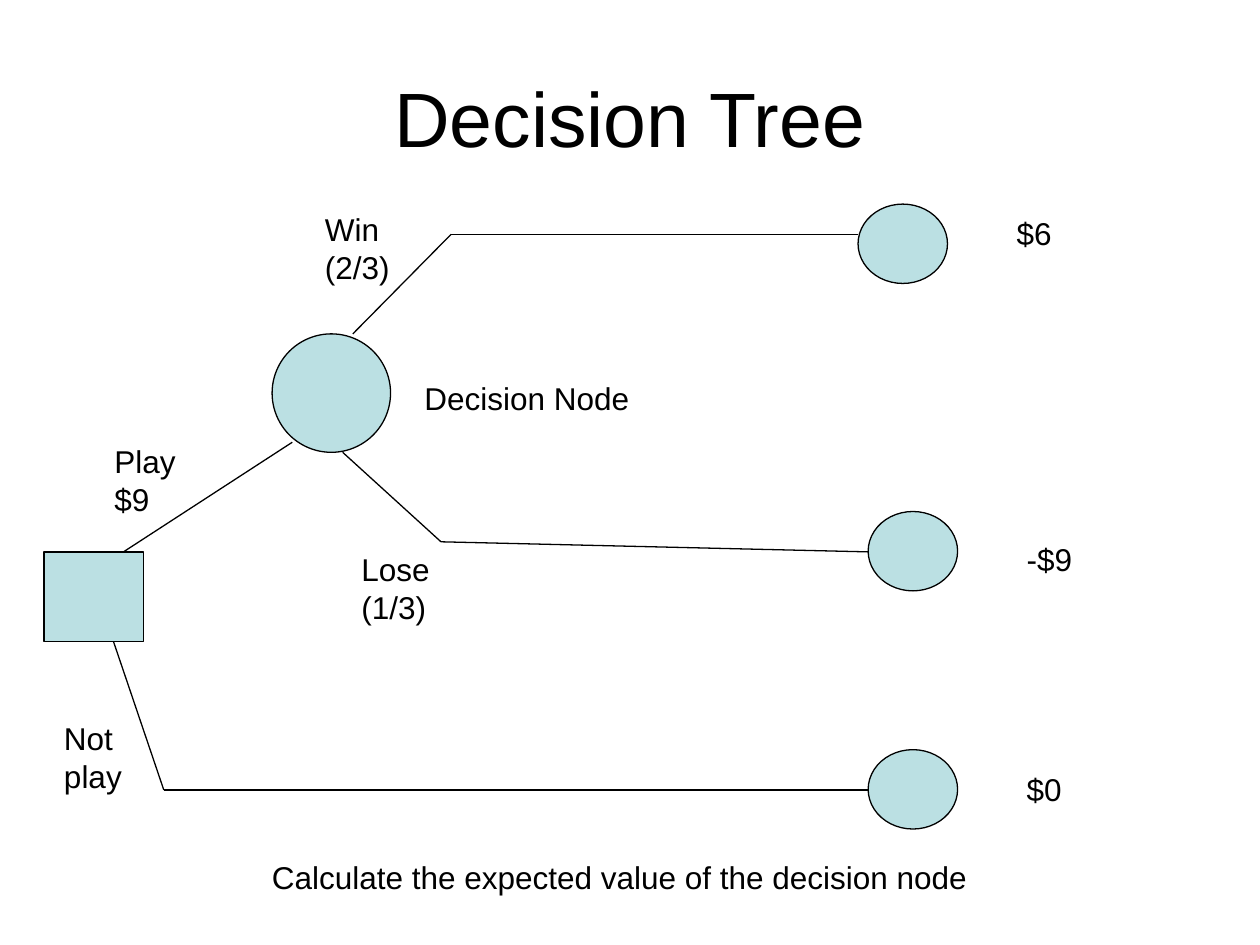
from itertools import pairwise

from pptx import Presentation
from pptx.dml.color import RGBColor
from pptx.enum.shapes import MSO_CONNECTOR as Connector, MSO_SHAPE as Shape
from pptx.enum.text import MSO_ANCHOR as Anchor, MSO_AUTO_SIZE as AutoSize, PP_ALIGN as Align
from pptx.oxml.ns import qn
from pptx.util import Inches, Pt
from lxml.etree import SubElement

PX = Inches(0.01)
COLORS = {"node": "BBE0E3", "ink": "000000"}
FONT = "Arial"
LINE_HEIGHT = 40

OUTCOME_SIZE = (71, 63)
PAYOFF_GAP = 116
# left and top of the outcome node, payoff, top of the payoff
OUTCOMES = [
    (646, 0, "$6", 3),
    (654, 244, "-$9", 262),
    (654, 433, "$0", 444),
]
BRANCHES = [
    [(55, 347), (95, 465), (654, 465)],
    [(63, 276), (197, 189)],
    [(245, 103), (323, 24), (646, 24)],
    [(237, 197), (315, 268), (654, 276)],
]
# text, left, top, width, height
BRANCH_LABELS = [
    ("Play $9", 46, 184, 103, LINE_HEIGHT),
    ("Not\nplay", 6, 404, 66, 70),
    ("Win (2/3)", 213, 0, 121, LINE_HEIGHT),
    ("Lose (1/3)", 242, 270, 132, LINE_HEIGHT),
]


def rgb(name):
    return RGBColor.from_string(COLORS[name])


def emu(*lengths):
    return [length * PX for length in lengths]


def set_font(paragraph, size):
    paragraph.font.name = FONT
    paragraph.font.size = Pt(size)
    paragraph.font.color.rgb = rgb("ink")


def add_title(slide, text, box):
    title = slide.shapes.title
    title.left, title.top, title.width, title.height = emu(*box)
    title.text_frame.text = text
    title.text_frame.vertical_anchor = Anchor.MIDDLE
    paragraph = title.text_frame.paragraphs[0]
    paragraph.alignment = Align.CENTER
    set_font(paragraph, 44)


def add_label(slide, text, left, top, width, height=LINE_HEIGHT, wrap=False):
    label = slide.shapes.add_textbox(*emu(left, top, width, height))
    frame = label.text_frame
    frame.text = text
    frame.word_wrap = wrap
    frame.auto_size = AutoSize.SHAPE_TO_FIT_TEXT
    for paragraph in frame.paragraphs:
        set_font(paragraph, 18)


def add_node(slide, outline, left, top, width, height):
    node = slide.shapes.add_shape(outline, *emu(left, top, width, height))
    node.shadow.inherit = False
    node.fill.solid()
    node.fill.fore_color.rgb = rgb("node")
    node.line.color.rgb = rgb("ink")
    node.line.width = Pt(0.75)


def add_branch(slide, points):
    """Join successive points with straight lines."""
    for start, end in pairwise(points):
        branch = slide.shapes.add_connector(Connector.STRAIGHT, *emu(*start, *end))
        branch.line.color.rgb = rgb("ink")
        branch.line.width = Pt(0.75)
        SubElement(branch._element.spPr, qn("a:effectLst"))


def add_tree(slide, left, top):
    add_node(slide, Shape.RECTANGLE, left, top + 276, 79, 71)
    add_node(slide, Shape.OVAL, left + 181, top + 103, 94, 94)
    for x, y, payoff, payoff_y in OUTCOMES:
        add_node(slide, Shape.OVAL, left + x, top + y, *OUTCOME_SIZE)
        payoff_width = 56 if payoff.startswith("-") else 48
        add_label(slide, payoff, left + x + PAYOFF_GAP, top + payoff_y, payoff_width)
    for points in BRANCHES:
        add_branch(slide, [(left + x, top + y) for x, y in points])
    for text, x, y, width, height in BRANCH_LABELS:
        add_label(slide, text, left + x, top + y, width, height)
    add_label(slide, "Decision Node", left + 292, top + 134, 220, wrap=True)


def main():
    deck = Presentation()
    deck.slide_width, deck.slide_height = emu(1000, 750)
    slide = deck.slides.add_slide(deck.slide_layouts[5])
    add_title(slide, "Decision Tree", (50, 30, 900, 125))
    add_tree(slide, 35, 162)
    add_label(slide, "Calculate the expected value of the decision node", 206, 676, 572)
    deck.save("out.pptx")


if __name__ == "__main__":
    main()
